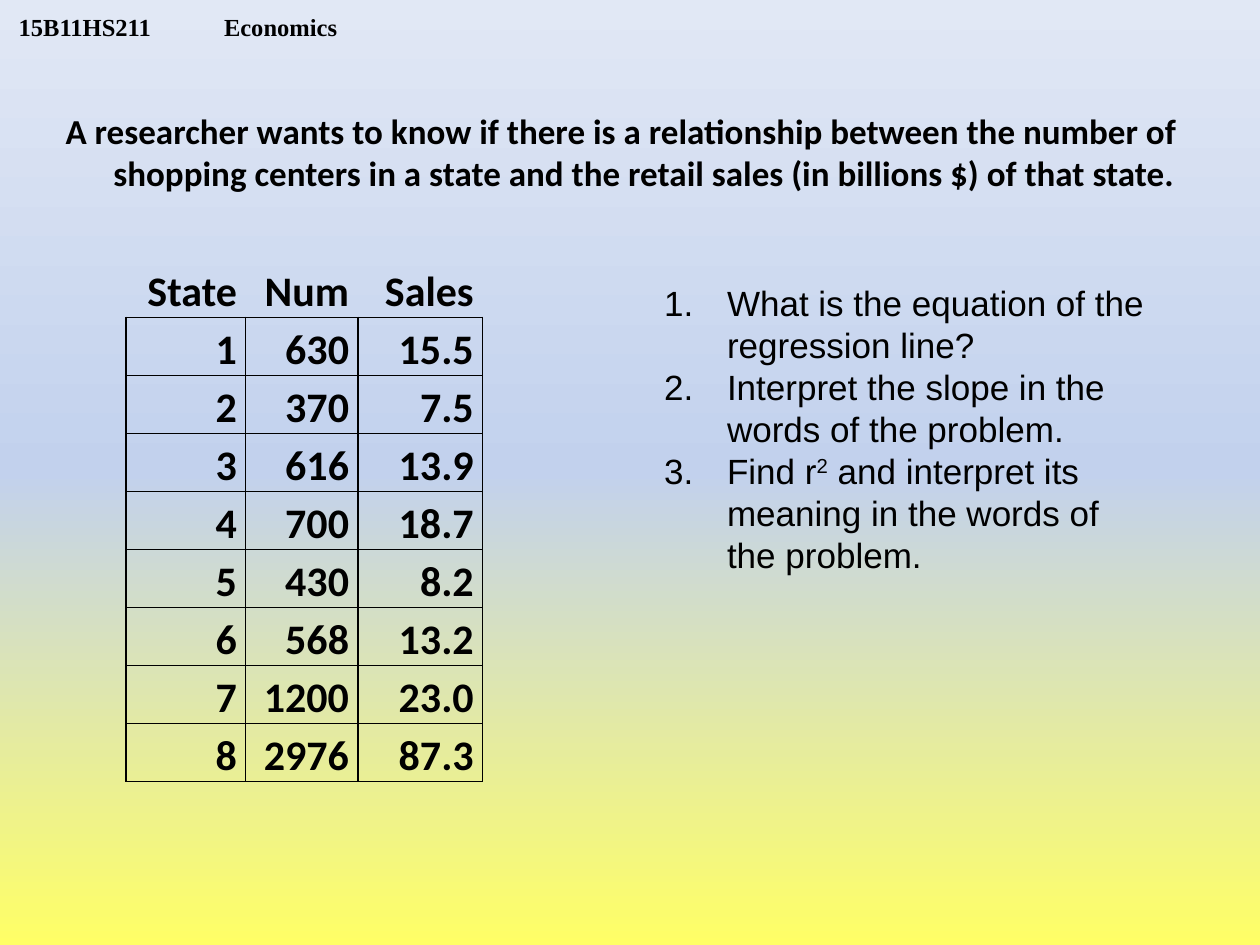
from typing import NamedTuple

from lxml import etree
from pptx import Presentation
from pptx.dml.color import RGBColor
from pptx.enum import text
from pptx.oxml import ns
from pptx.util import Inches, Pt

BLACK = RGBColor(0x00, 0x00, 0x00)
YELLOW = RGBColor(0xFF, 0xFF, 0x66)
BLUE = RGBColor(0xC2, 0xD1, 0xED)
PALE_BLUE = RGBColor(0xE1, 0xE8, 0xF5)
NO_GRID_STYLE = "{2D5ABB26-0587-4C30-8999-92F81FD0307C}"


class Style(NamedTuple):
    font: str
    size: int
    bold: bool = False


class State(NamedTuple):
    state: str
    num: str
    sales: str


HEADER = Style("Times New Roman", 14, True)
TITLE = Style("Calibri", 20, True)
CELL = Style("Calibri", 24, True)
QUESTION = Style("Arial", 20)

ROWS = [
    State("State", "Num", "Sales"),
    State("1", "630", "15.5"),
    State("2", "370", "7.5"),
    State("3", "616", "13.9"),
    State("4", "700", "18.7"),
    State("5", "430", "8.2"),
    State("6", "568", "13.2"),
    State("7", "1200", "23.0"),
    State("8", "2976", "87.3"),
]
COLUMN_WIDTHS = (0.95, 0.89, 0.99)
HEAD_HEIGHT, ROW_HEIGHT = 0.77, 0.46

# Each question is a list of (text, is superscript)
QUESTIONS = [
    [("What is the equation of the regression line?", False)],
    [("Interpret the slope in the words of the problem.", False)],
    [("Find r", False), ("2", True),
     (" and interpret its meaning in the words of the problem.", False)],
]


def sub(parent, tag: str, **attrs: str):
    return etree.SubElement(parent, ns.qn(tag), attrs)


def add_run(p, words: str, style: Style, superscript: bool = False) -> None:
    r = p.add_run()
    r.text = words
    r.font.name, r.font.size, r.font.bold = style.font, Pt(style.size), style.bold
    r.font.color.rgb = BLACK
    if superscript:
        r.font._element.set("baseline", "30000")


def place(sp, left: float, top: float, width: float, height: float) -> None:
    sp.left, sp.top = Inches(left), Inches(top)
    sp.width, sp.height = Inches(width), Inches(height)


def hang(p, indent: float):
    """Give the paragraph a hanging indent and return its properties."""
    pPr = p._p.get_or_add_pPr()
    pPr.set("marL", str(Inches(indent)))
    pPr.set("indent", str(-Inches(indent)))
    return pPr


def set_background(slide) -> None:
    fill = slide.background.fill
    fill.gradient()
    fill.gradient_angle = 90
    stops = slide.element.find(".//" + ns.qn("a:gsLst"))
    for old in list(stops):
        stops.remove(old)
    for percent, color in ((0, YELLOW), (50, BLUE), (100, PALE_BLUE)):
        gs = sub(stops, "a:gs", pos=str(percent * 1000))
        sub(gs, "a:srgbClr", val=str(color))


def add_header(slide) -> None:
    tf = slide.shapes.add_textbox(
        Inches(0.05), 0, Inches(3.2), Inches(0.33)).text_frame
    tf.word_wrap = True
    tf.vertical_anchor = text.MSO_ANCHOR.BOTTOM
    tf.margin_top = tf.margin_bottom = 0
    p = tf.paragraphs[0]
    tabs = sub(p._p.get_or_add_pPr(), "a:tabLst")
    sub(tabs, "a:tab", pos=str(Inches(1.63)), algn="l")
    add_run(p, "15B11HS211\tEconomics", HEADER)


def fill_title(sp) -> None:
    place(sp, 0.42, 0.75, 9.25, 1.25)
    tf = sp.text_frame
    tf.auto_size = text.MSO_AUTO_SIZE.NONE
    tf.vertical_anchor = text.MSO_ANCHOR.TOP
    tf.margin_top = Inches(0.12)
    p = tf.paragraphs[0]
    p.alignment = text.PP_ALIGN.LEFT
    hang(p, 0.38)
    add_run(p, "A researcher wants to know if there is a relationship between "
               "the number of shopping centers in a state and the retail sales "
               "(in billions $) of that state.", TITLE)


def fill_cell(cell, words: str, sides: str) -> None:
    tcPr = cell._tc.get_or_add_tcPr()
    for side in sides:
        ln = sub(tcPr, f"a:ln{side}", w=str(Pt(1)))
        sub(sub(ln, "a:solidFill"), "a:srgbClr", val=str(BLACK))
    cell.fill.background()
    cell.vertical_anchor = text.MSO_ANCHOR.BOTTOM
    cell.margin_left = cell.margin_right = Inches(0.07)
    cell.margin_top = cell.margin_bottom = 0
    p = cell.text_frame.paragraphs[0]
    p.alignment = text.PP_ALIGN.RIGHT
    p.line_spacing = 1.15
    add_run(p, words, CELL)


def add_sales_table(slide) -> None:
    height = HEAD_HEIGHT + ROW_HEIGHT * (len(ROWS) - 1)
    table = slide.shapes.add_table(
        len(ROWS), len(COLUMN_WIDTHS), Inches(1), Inches(1.75),
        Inches(sum(COLUMN_WIDTHS)), Inches(height)).table
    table.horz_banding = False
    table._tbl.tblPr.find(ns.qn("a:tableStyleId")).text = NO_GRID_STYLE
    for column, width in zip(table.columns, COLUMN_WIDTHS):
        column.width = Inches(width)
    for i, row in enumerate(ROWS):
        table.rows[i].height = Inches(ROW_HEIGHT if i else HEAD_HEIGHT)
        for j, words in enumerate(row):
            fill_cell(table.cell(i, j), words, "LRTB" if i else "B")


def fill_questions(sp) -> None:
    place(sp, 5.17, 2.17, 4.08, 2.46)
    tf = sp.text_frame
    tf.auto_size = text.MSO_AUTO_SIZE.SHAPE_TO_FIT_TEXT
    tf.vertical_anchor = text.MSO_ANCHOR.MIDDLE
    for i, question in enumerate(QUESTIONS):
        p = tf.add_paragraph() if i else tf.paragraphs[0]
        sub(hang(p, 0.5), "a:buFont", typeface=QUESTION.font)
        sub(p._p.pPr, "a:buAutoNum", type="arabicPeriod")
        p.space_before = Pt(0)
        for words, superscript in question:
            add_run(p, words, QUESTION, superscript)


def main() -> None:
    prs = Presentation()
    prs.slide_width, prs.slide_height = Inches(10), Inches(7.5)
    slide = prs.slides.add_slide(prs.slide_layouts[1])
    set_background(slide)
    add_header(slide)
    fill_title(slide.shapes.title)
    add_sales_table(slide)
    fill_questions(slide.placeholders[1])
    prs.save("out.pptx")


if __name__ == "__main__":
    main()
